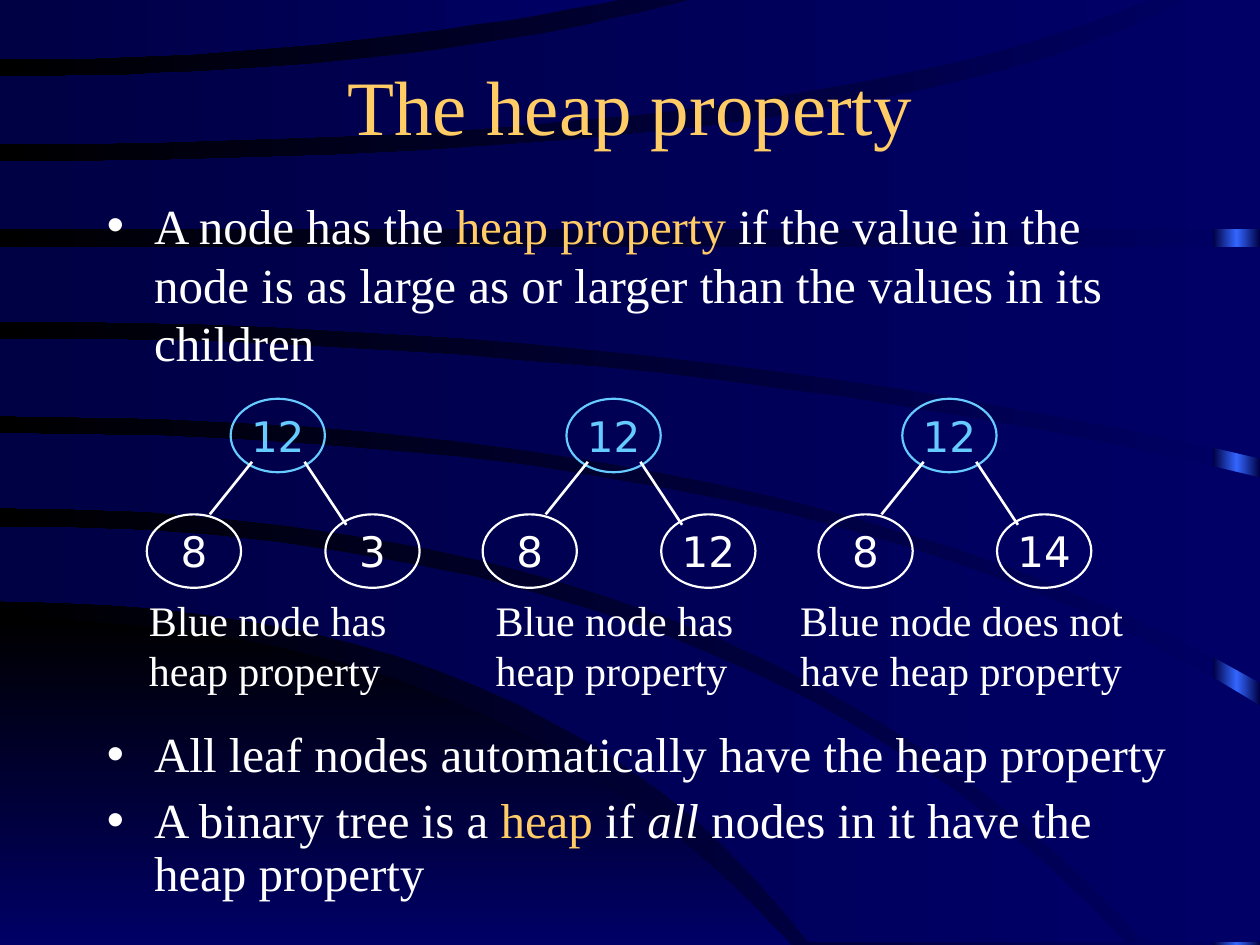
from copy import deepcopy

from pptx import Presentation
from pptx.dml.color import RGBColor
from pptx.enum.shapes import MSO_CONNECTOR, MSO_SHAPE
from pptx.enum.text import MSO_ANCHOR, MSO_AUTO_SIZE, PP_ALIGN
from pptx.oxml import parse_xml
from pptx.oxml.ns import nsdecls, qn
from pptx.util import Cm, Pt

ELLIPSE, RECTANGLE = MSO_SHAPE.OVAL, MSO_SHAPE.RECTANGLE
STRAIGHT = MSO_CONNECTOR.STRAIGHT
CENTER, MIDDLE, TOP = PP_ALIGN.CENTER, MSO_ANCHOR.MIDDLE, MSO_ANCHOR.TOP
FIXED_SIZE, GROW = MSO_AUTO_SIZE.NONE, MSO_AUTO_SIZE.SHAPE_TO_FIT_TEXT

SERIF, SANS = "Times New Roman", "DejaVu Sans"
WHITE, GOLD, SKY = "FFFFFF", "FFCC66", "66CCFF"
NAVY, DEEP, BLACK, GLOW = "000066", "000044", "000000", "3366FF"

# The slide is 1000 by 750 outline steps.
OUTLINE_STEP = Cm(25.4) / 1000
CURVE_STEPS = 20
# Each edge leaves the left side level: (start y, bend x, end x, end y).
CORNER_EDGE = (491, 397, 628, 750)
# (upper edge, lower edge, corners between their ends)
RIBBONS = [
    ((418, 588, 893, 748), (477, 440, 642, 748), []),
    ((344, 660, 1000, 560), (403, 600, 909, 748), [(1000, 748)]),
    ((269, 542, 1000, 379), (330, 630, 1000, 542), []),
    ((196, 500, 1000, 196), (255, 530, 1000, 364), []),
    ((128, 720, 943, -2), (182, 500, 1000, 182), [(1000, -2)]),
    ((61, 330, 556, -2), (114, 650, 917, -2), []),
    ((-2, 250, 501, -2), (47, 256, 501, -2), []),
]

FIRST_TREE_LEFT, TREE_PITCH = 2.96, 6.77
ROOT_TOP, CHILD_TOP = 8.04, 10.37
# (child values, caption, caption left, caption width)
TREES = [
    (("8", "3"), "Blue node has heap property", 2.75, 5.5),
    (("8", "12"), "Blue node has heap property", 9.74, 5.5),
    (("8", "14"), "Blue node does not have heap property", 15.88, 7.2),
]


def rgb(color):
    return RGBColor.from_string(color)


def fill_gradient(fill, owner, colors, angle=180):
    """Spread the colours evenly; owner is the XML element that holds the fill."""
    fill.gradient()
    fill.gradient_angle = angle
    stop_list = next(owner.iter(qn("a:gsLst")))
    for _ in colors[2:]:
        stop_list.append(deepcopy(stop_list[-1]))
    for index, (stop, color) in enumerate(zip(fill.gradient_stops, colors)):
        stop.color.rgb = rgb(color)
        stop.position = index / (len(colors) - 1)


def style_backdrop(shape, colors, angle=180):
    fill_gradient(shape.fill, shape._element, colors, angle)
    shape.line.fill.background()
    shape.shadow.inherit = False


def curve(start_y, bend_x, end_x, end_y):
    """Points of a quadratic curve that starts level at the left side."""
    points = []
    for step in range(CURVE_STEPS + 1):
        t = step / CURVE_STEPS
        points.append((2 * t * (1 - t) * bend_x + t * t * end_x,
                       start_y + t * t * (end_y - start_y)))
    return points


def add_outline(slide, points, colors, angle=180):
    builder = slide.shapes.build_freeform(*points[0], scale=OUTLINE_STEP)
    builder.add_line_segments(points[1:], close=True)
    style_backdrop(builder.convert_to_shape(), colors, angle)


def add_backdrop(slide):
    fill_gradient(slide.background.fill, slide._element, [NAVY, BLACK])
    strip = slide.shapes.add_shape(RECTANGLE, Cm(24.46), Cm(0), Cm(0.94), Cm(19.05))
    style_backdrop(strip, [DEEP, GLOW, DEEP])
    add_outline(slide, curve(*CORNER_EDGE) + [(0, 750)], [BLACK, NAVY], 270)
    for upper, lower, corners in RIBBONS:
        add_outline(slide, curve(*upper) + corners + curve(*lower)[::-1], [NAVY, DEEP])


def add_run(paragraph, text, size, color=WHITE, font=SERIF, italic=False):
    run = paragraph.add_run()
    run.text = text
    run.font.name, run.font.size, run.font.italic = font, Pt(size), italic
    run.font.color.rgb = rgb(color)


def place(placeholder, left, top, width, height, anchor):
    """Move a placeholder, bring it in front of the backdrop and return its text frame."""
    placeholder.left, placeholder.top = Cm(left), Cm(top)
    placeholder.width, placeholder.height = Cm(width), Cm(height)
    placeholder._element.getparent().append(placeholder._element)
    frame = placeholder.text_frame
    frame.auto_size, frame.vertical_anchor = FIXED_SIZE, anchor
    return frame


def fill_list(frame, items, line_spacing):
    """Each item is a list of runs: (text, colour, italic)."""
    for index, runs in enumerate(items):
        paragraph = frame.add_paragraph() if index else frame.paragraphs[0]
        paragraph.space_before, paragraph.line_spacing = Pt(7), line_spacing
        for text, color, italic in runs:
            add_run(paragraph, text, 28, color, italic=italic)


def add_node(group, left, top, value, color=WHITE):
    node = group.shapes.add_shape(ELLIPSE, Cm(left), Cm(top), Cm(1.9), Cm(1.48))
    node.fill.background()
    node.shadow.inherit = False
    node.line.color.rgb, node.line.width = rgb(color), Pt(1.25)
    frame = node.text_frame
    frame.word_wrap, frame.vertical_anchor = False, MIDDLE
    frame.paragraphs[0].alignment = CENTER
    add_run(frame.paragraphs[0], value, 24, color, SANS)


def add_edge(group, *ends):
    edge = group.shapes.add_connector(STRAIGHT, *map(Cm, ends))
    edge.line.color.rgb, edge.line.width = rgb(WHITE), Pt(1.5)
    edge._element.spPr.append(parse_xml(f"<a:effectLst {nsdecls('a')}/>"))


def add_caption(group, text, left, width):
    caption = group.shapes.add_textbox(Cm(left), Cm(11.85), Cm(width), Cm(2.29))
    frame = caption.text_frame
    frame.word_wrap, frame.auto_size = True, GROW
    frame.paragraphs[0].space_before = Pt(15)
    add_run(frame.paragraphs[0], text, 24)


def add_tree(slide, left, children, caption, caption_left, caption_width):
    group = slide.shapes.add_group_shape()
    add_node(group, left + 1.69, ROOT_TOP, "12", SKY)
    for value, offset in zip(children, (0, 3.6)):
        add_node(group, left + offset, CHILD_TOP, value)
    add_edge(group, left + 2.12, 9.31, left + 1.27, CHILD_TOP)
    add_edge(group, left + 3.18, 9.31, left + 4.02, 10.58)
    add_caption(group, caption, caption_left, caption_width)


def main():
    presentation = Presentation()
    presentation.slide_width, presentation.slide_height = Cm(25.4), Cm(19.05)
    slide = presentation.slides.add_slide(presentation.slide_layouts.get_by_name("Two Content"))
    title, definition, conclusion = list(slide.placeholders)
    add_backdrop(slide)

    title_frame = place(title, 0.85, 1.06, 23.7, 2.12, MIDDLE)
    title_frame.paragraphs[0].alignment = CENTER
    add_run(title_frame.paragraphs[0], "The heap property", 44, GOLD)
    fill_list(place(definition, 1.9, 3.81, 21.59, 4.02, TOP), [
        [("A node has the ", WHITE, False), ("heap property", GOLD, False),
         (" if the value in the node is as large as or larger than the values in its children",
          WHITE, False)]], 1.0)
    fill_list(place(conclusion, 1.9, 14.6, 22.23, 3.81, TOP), [
        [("All leaf nodes automatically have the heap property", WHITE, False)],
        [("A binary tree is a ", WHITE, False), ("heap", GOLD, False), (" if ", WHITE, False),
         ("all", WHITE, True), (" nodes in it have the heap property", WHITE, False)]], 0.9)

    for index, tree in enumerate(TREES):
        add_tree(slide, FIRST_TREE_LEFT + index * TREE_PITCH, *tree)
    presentation.save("out.pptx")


if __name__ == "__main__":
    main()
